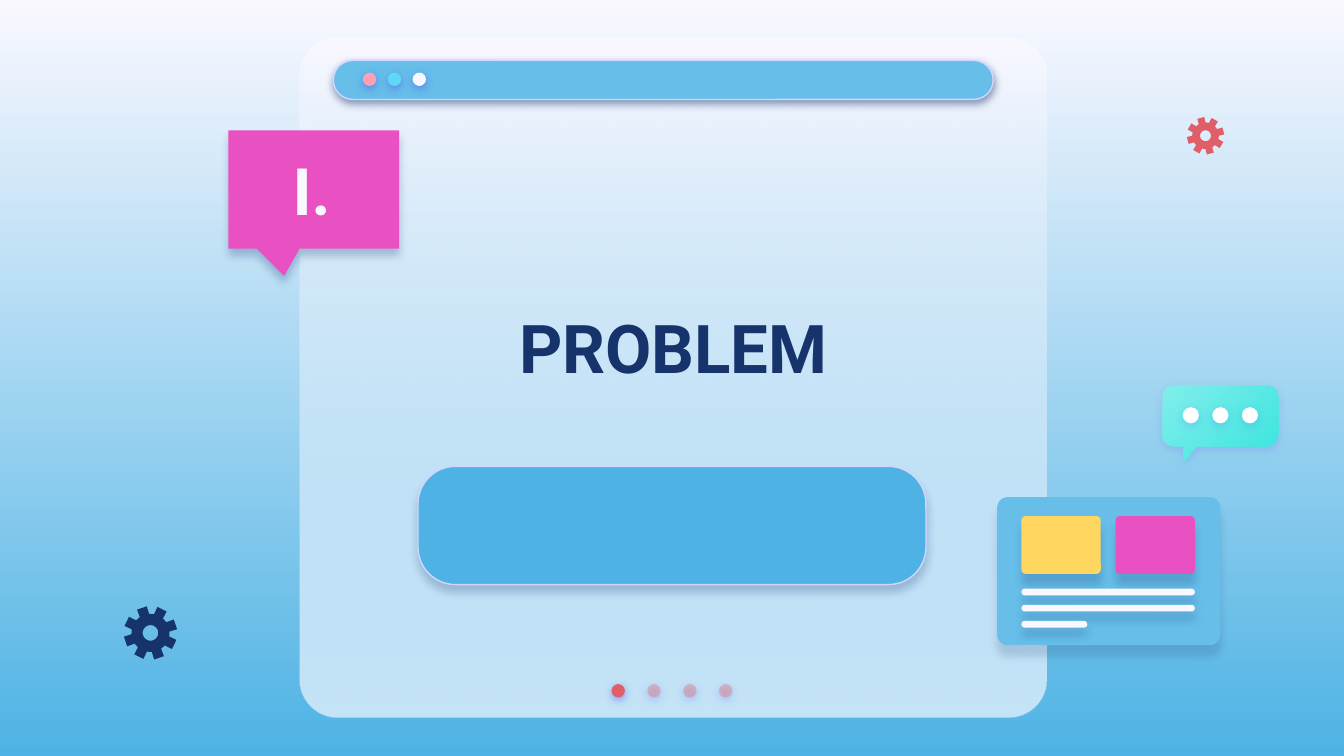
"""Build the PROBLEM section slide with a browser window, cards and gears."""
from math import cos, radians, sin

from lxml import etree
from pptx import Presentation
from pptx.dml.color import RGBColor
from pptx.enum.shapes import MSO_SHAPE
from pptx.enum.text import MSO_ANCHOR, MSO_AUTO_SIZE, PP_ALIGN
from pptx.oxml.ns import qn
from pptx.util import Inches, Pt

ROUND, OVAL = MSO_SHAPE.ROUNDED_RECTANGLE, MSO_SHAPE.OVAL
CALLOUT = MSO_SHAPE.ROUNDED_RECTANGULAR_CALLOUT
CENTER, MIDDLE, BOTTOM = PP_ALIGN.CENTER, MSO_ANCHOR.MIDDLE, MSO_ANCHOR.BOTTOM
NO_FIT = MSO_AUTO_SIZE.NONE
PALE, BLUE, SKY, NAVY = "F9F8FF", "4EB3E4", "66BEE9", "17336B"
PINK, RED, VIOLET, EDGE = "E951C2", "DF5F69", "5352EE", "D2D6FF"
DOT_SHADOW = (VIOLET, 50, 4.5, 1.5)
BUBBLE_SHADOW = (VIOLET, 18, 4.5, 1.5)
TILE_SHADOW = (NAVY, 20, 4.5, 6)
BAR_SHADOW = (NAVY, 21, 4.5, 4.5)


def paint(fill, colors, angle=270):
    """Fill with one hex colour, or with a gradient between two."""
    if isinstance(colors, str):
        fill.solid()
        fill.fore_color.rgb = RGBColor.from_string(colors)
        return
    fill.gradient()
    fill.gradient_angle = angle
    for stop, color in zip(fill.gradient_stops, colors):
        stop.color.rgb = RGBColor.from_string(color)


def style(sp, colors, shadow=None, line=None, alpha=100, angle=270):
    """Set fill, opacity of the last colour, outline and drop shadow."""
    paint(sp.fill, colors, angle)
    if alpha < 100:
        last = sp.element.spPr.findall(".//" + qn("a:srgbClr"))[-1]
        etree.SubElement(last, qn("a:alpha"), val=str(alpha * 1000))
    if line:
        paint(sp.line.fill, line)
        sp.line.width = Pt(0.75)
    else:
        sp.line.fill.background()
    sp.shadow.inherit = False
    if shadow:
        color, opacity, blur, dist = shadow
        effects = sp.element.spPr.find(qn("a:effectLst"))
        outer = etree.SubElement(
            effects, qn("a:outerShdw"), blurRad=str(Pt(blur)), dist=str(Pt(dist)),
            dir="5400000", algn="bl", rotWithShape="0")
        clr = etree.SubElement(outer, qn("a:srgbClr"), val=color)
        etree.SubElement(clr, qn("a:alpha"), val=str(opacity * 1000))


prs = Presentation()
prs.slide_width = Inches(10)
prs.slide_height = prs.slide_width * 9 // 16
s = prs.slides.add_slide(prs.slide_layouts[0])
paint(s.background.fill, (PALE, BLUE))

bubble = []
for x, y, start in ((9.43, 2.95, 270), (9.43, 3.24, 0), (8.73, 3.24, 90), (8.73, 2.95, 180)):
    if start == 90:
        bubble += [(8.91, 3.32), (8.81, 3.43), (8.81, 3.32)]
    for a in range(start, start + 91, 10):
        bubble.append((x + 0.08 * cos(radians(a)), y + 0.08 * sin(radians(a))))
outlines = [([bubble], ("81EEEB", "3AE4DF"), BUBBLE_SHADOW)]

for x, y, size, turn, color in ((1.12, 4.71, 0.2, -109, NAVY), (8.97, 1.01, 0.14, -105, RED)):
    teeth = [(x + size * k * cos(radians(turn + 45 * i + a)),
              y + size * k * sin(radians(turn + 45 * i + a)))
             for i in range(8) for a, k in ((-15, 0.71), (-11, 1), (11, 1), (15, 0.71))]
    hole = [(x + size * 0.29 * cos(radians(a)), y + size * 0.29 * sin(radians(a)))
            for a in range(360, 0, -10)]
    outlines.append(([teeth, hole], color, None))

for contours, colors, shadow in outlines:
    builder = None
    for contour in contours:
        points = [(Inches(x), Inches(y)) for x, y in contour]
        if builder is None:
            builder = s.shapes.build_freeform(*points[0])
        else:
            builder.move_to(*points[0])
        builder.add_line_segments(points[1:])
    style(builder.convert_to_shape(), colors, shadow, angle=315)

window = (2.23, 0.28, 5.56, 5.06)
shapes = [
    (ROUND, window, [0.056], PALE, {}),
    (ROUND, window, [0.056], (PALE, SKY), {"alpha": 35}),
    (ROUND, (2.48, 0.45, 4.91, 0.29), [0.5], SKY,
     {"line": EDGE, "shadow": (NAVY, 50, 4.5, 1.5)}),
    (CALLOUT, (1.7, 0.97, 1.27, 0.88), [-0.174, 0.731, 0], PINK,
     {"shadow": (NAVY, 25, 4.5, 3.8)}),
    (ROUND, (3.11, 3.47, 3.78, 0.88), [0.317], BLUE,
     {"line": EDGE, "shadow": (NAVY, 24, 4.5, 3.8)}),
    (ROUND, (7.42, 3.7, 1.66, 1.1), [0.07], SKY, {"shadow": (NAVY, 17, 4.5, 6)}),
]
for x, color in ((7.6, "FFD65F"), (8.3, PINK)):
    shapes.append((ROUND, (x, 3.84, 0.59, 0.43), [0.07], color, {"shadow": TILE_SHADOW}))
for i, width in enumerate((1.29, 1.29, 0.49)):
    shapes.append((ROUND, (7.6, 4.38 + 0.12 * i, width, 0.05), [0.5], PALE,
                   {"shadow": BAR_SHADOW}))
for i, color in enumerate(("FDA0B4", "60D8F4", PALE)):
    shapes.append((OVAL, (2.7 + 0.37 / 2 * i, 0.54, 0.1, 0.1), [], color,
                   {"shadow": DOT_SHADOW}))
    shapes.append((OVAL, (8.8 + 0.22 * i, 3.03, 0.12, 0.12), [], "FFFFFF",
                   {"shadow": BUBBLE_SHADOW}))
for i in range(4):
    shapes.append((OVAL, (4.55 + 0.8 / 3 * i, 5.09, 0.1, 0.1), [], "E27B83" if i else RED,
                   {"shadow": DOT_SHADOW, "alpha": 44 if i else 100}))

for kind, box, adjustments, colors, options in shapes:
    sp = s.shapes.add_shape(kind, *map(Inches, box))
    for i, value in enumerate(adjustments):
        sp.adjustments[i] = value
    style(sp, colors, **options)

texts = [
    (s.shapes.title, "PROBLEM", (2.71, 1.67, 4.6, 1.82), 36, NAVY, MIDDLE),
    (s.placeholders[1], "I.", (1.79, 1.02, 1.06, 0.78), 35, PALE, BOTTOM),
]
for sp, text, box, size, color, anchor in texts:
    sp.left, sp.top, sp.width, sp.height = map(Inches, box)
    tf = sp.text_frame
    frame = {"word_wrap": True, "auto_size": NO_FIT, "vertical_anchor": anchor}
    frame |= {"margin_" + side: Inches(0.1) for side in ("left", "top", "right", "bottom")}
    for name, value in frame.items():
        setattr(tf, name, value)
    p = tf.paragraphs[0]
    p.alignment, p.space_before = CENTER, Pt(0)
    r = p.add_run()
    r.text = text
    for name, value in {"name": "Roboto", "size": Pt(size), "bold": True}.items():
        setattr(r.font, name, value)
    r.font.color.rgb = RGBColor.from_string(color)
    s.shapes.element.append(sp.element)

prs.save("out.pptx")
